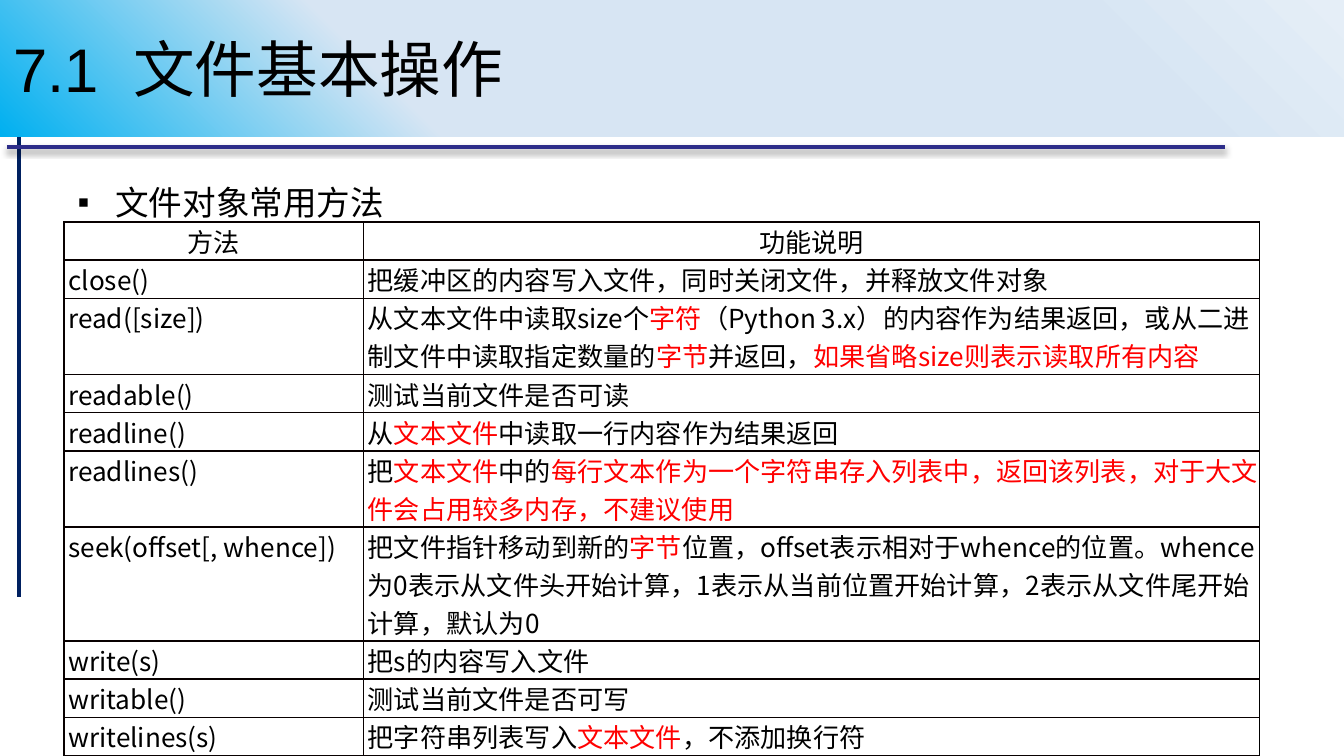
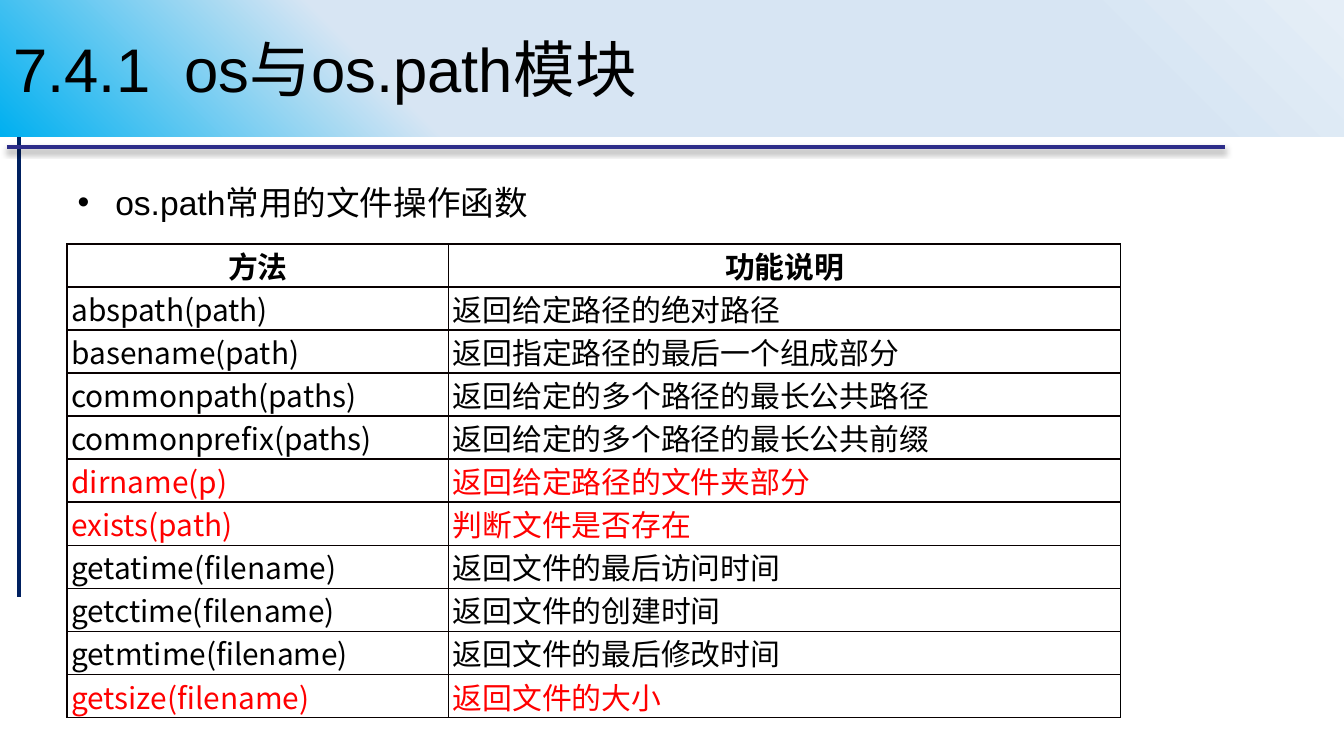
from dataclasses import dataclass

from pptx import Presentation
from pptx.dml.color import RGBColor
from pptx.enum.shapes import MSO_CONNECTOR
from pptx.enum.text import MSO_ANCHOR, MSO_AUTO_SIZE, PP_ALIGN
from pptx.oxml import parse_xml
from pptx.oxml.ns import nsdecls, qn
from pptx.util import Cm, Pt

STRAIGHT = MSO_CONNECTOR.STRAIGHT
MIDDLE = MSO_ANCHOR.MIDDLE
NO_AUTOFIT = MSO_AUTO_SIZE.NONE
LEFT, CENTER = PP_ALIGN.LEFT, PP_ALIGN.CENTER

# Shared look
TITLE_ONLY = 5
SLIDE_WIDTH, SLIDE_HEIGHT = Cm(25.4), Cm(14.29)
BAND_HEIGHT = Cm(2.58)
BLACK, RED, BORDER = "000000", "FF0000", "080000"
NAVY, INDIGO = "002060", "2D2D89"
BAND_STOPS = [(0, "00B0F0"), (30, "D7E5F3"), (81, "D7E5F3"), (100, "E5EEF7")]
LATIN, CJK = "Arial", "Noto Sans CJK SC"
MARK = "|"  # text between two marks is red


@dataclass(frozen=True)
class MethodTable:
    left: Cm
    top: Cm
    height: Cm
    columns: tuple
    line_counts: list
    size: int
    bold_header: bool
    rows: list


@dataclass(frozen=True)
class Page:
    title: str
    bullet: str
    topic: str
    methods: MethodTable


HEADER = ("方法", "功能说明")

FILE_METHODS = [
    ("close()", "把缓冲区的内容写入文件，同时关闭文件，并释放文件对象"),
    ("read([size])", "从文本文件中读取size个|字符|（Python 3.x）的内容作为结果返回，"
                     "或从二进制文件中读取指定数量的|字节|并返回，|如果省略size则表示读取所有内容|"),
    ("readable()", "测试当前文件是否可读"),
    ("readline()", "从|文本文件|中读取一行内容作为结果返回"),
    ("readlines()", "把|文本文件|中的|每行文本作为一个字符串存入列表中，返回该列表，"
                    "对于大文件会占用较多内存，不建议使用|"),
    ("seek(offset[, whence])", "把文件指针移动到新的|字节|位置，offset表示相对于whence的位置。"
                               "whence为0表示从文件头开始计算，1表示从当前位置开始计算，"
                               "2表示从文件尾开始计算，默认为0"),
    ("write(s)", "把s的内容写入文件"),
    ("writable()", "测试当前文件是否可写"),
    ("writelines(s)", "把字符串列表写入|文本文件|，不添加换行符"),
]

PATH_FUNCTIONS = [
    ("abspath(path)", "返回给定路径的绝对路径"),
    ("basename(path)", "返回指定路径的最后一个组成部分"),
    ("commonpath(paths)", "返回给定的多个路径的最长公共路径"),
    ("commonprefix(paths)", "返回给定的多个路径的最长公共前缀"),
    ("|dirname(p)|", "|返回给定路径的文件夹部分|"),
    ("|exists(path)|", "|判断文件是否存在|"),
    ("getatime(filename)", "返回文件的最后访问时间"),
    ("getctime(filename)", "返回文件的创建时间"),
    ("getmtime(filename)", "返回文件的最后修改时间"),
    ("|getsize(filename)|", "|返回文件的大小|"),
]

PAGES = [
    Page("7.1  文件基本操作", "▪", "文件对象常用方法", MethodTable(
        Cm(1.21), Cm(4.2), Cm(10.08), (Cm(5.66), Cm(16.94)),
        [1, 1, 2, 1, 1, 2, 3, 1, 1, 1],
        14, False, FILE_METHODS)),
    Page("7.4.1  os与os.path模块", "•", "os.path常用的文件操作函数", MethodTable(
        Cm(1.27), Cm(4.61), Cm(8.96), (Cm(7.21), Cm(12.7)),
        [1] * (len(PATH_FUNCTIONS) + 1),
        16, True, PATH_FUNCTIONS)),
]


def rgb(color: str) -> RGBColor:
    return RGBColor.from_string(color)


def drawing(markup: str):
    """Build a DrawingML element; the root tag receives the namespace."""
    tag_end = min(i for i in (markup.find(" "), markup.find(">"), markup.find("/>")) if i > 0)
    return parse_xml(f"{markup[:tag_end]} {nsdecls('a')}{markup[tag_end:]}")


def style_span(span, size: float, color: str = BLACK, font: str = LATIN,
               bold: bool = False) -> None:
    span.font.size = Pt(size)
    span.font.name = font
    span.font.bold = bold
    span.font.color.rgb = rgb(color)
    latin = span.font._element.find(qn("a:latin"))
    latin.addnext(drawing(f'<a:ea typeface="{CJK}"/>'))


def set_margins(target, left: Cm, top: Cm, right: Cm, bottom: Cm) -> None:
    target.margin_left, target.margin_right = left, right
    target.margin_top, target.margin_bottom = top, bottom


# Frame lines and title band
def add_rule(slide, start: tuple, end: tuple, color: str, shadow: str = "") -> None:
    rule = slide.shapes.add_connector(STRAIGHT, *start, *end)
    rule.line.color.rgb = rgb(color)
    rule.line.width = Pt(2.25)
    rule.element.spPr.append(drawing(f"<a:effectLst>{shadow}</a:effectLst>"))


def add_frame_rules(slide) -> None:
    shadow = ('<a:outerShdw blurRad="40000" dist="23000" dir="5400000" rotWithShape="0">'
              '<a:srgbClr val="000000"><a:alpha val="35000"/></a:srgbClr></a:outerShdw>')
    add_rule(slide, (Cm(0.36), Cm(2.06)), (Cm(0.36), Cm(11.29)), NAVY)
    add_rule(slide, (Cm(0.13), Cm(2.78)), (Cm(23.15), Cm(2.78)), INDIGO, shadow)


def set_title_band(slide, text: str) -> None:
    title = slide.shapes.title
    title.left, title.top = Cm(0), Cm(0)
    title.width, title.height = SLIDE_WIDTH, BAND_HEIGHT
    stops = "".join(f'<a:gs pos="{place * 1000}"><a:srgbClr val="{color}"/></a:gs>'
                    for place, color in BAND_STOPS)
    title.element.spPr.append(drawing(
        f'<a:gradFill rotWithShape="1"><a:gsLst>{stops}</a:gsLst><a:path path="circle">'
        '<a:fillToRect t="100000" r="100000"/></a:path></a:gradFill>'))
    frame = title.text_frame
    frame.text = text
    frame.word_wrap = True
    frame.auto_size = NO_AUTOFIT
    frame.vertical_anchor = MIDDLE
    para = frame.paragraphs[0]
    para.alignment = LEFT
    style_span(para.runs[0], 33)
    # The band covers the upper end of the vertical rule
    title.element.getparent().append(title.element)


# Bulleted topic
def add_topic(slide, text: str, bullet: str) -> None:
    box = slide.shapes.add_textbox(Cm(1.27), Cm(3.33), Cm(22.86), Cm(9.42))
    frame = box.text_frame
    frame.word_wrap = True
    set_margins(frame, Cm(0.2), Cm(0.1), Cm(0.2), Cm(0.1))
    frame.text = text
    para = frame.paragraphs[0]
    style_span(para.runs[0], 18)
    properties = para._p.get_or_add_pPr()
    properties.set("marL", str(Cm(0.71)))
    properties.set("indent", str(-Cm(0.71)))
    for markup in ('<a:spcBef><a:spcPct val="15000"/></a:spcBef>',
                   f'<a:buFont typeface="{LATIN}"/>',
                   f'<a:buChar char="{bullet}"/>'):
        properties.append(drawing(markup))


# Method table
def set_borders(cell, is_last_column: bool) -> None:
    properties = cell._tc.get_or_add_tcPr()
    for index, side in enumerate("LRTB"):
        outer = is_last_column and side == "R"
        width, color = (Pt(0.75), BLACK) if outer else (Pt(1), BORDER)
        properties.insert(index, drawing(
            f'<a:ln{side} w="{width}"><a:solidFill><a:srgbClr val="{color}"/>'
            f'</a:solidFill></a:ln{side}>'))


def fill_cell(cell, text: str, size: int, is_header: bool, bold: bool) -> None:
    cell.fill.background()
    set_margins(cell, Cm(0) if is_header else Cm(0.08), Cm(0), Cm(0), Cm(0))
    para = cell.text_frame.paragraphs[0]
    para.alignment = CENTER if is_header else LEFT
    for index, part in enumerate(text.split(MARK)):
        if part:
            span = para.add_run()
            span.text = part
            style_span(span, size, RED if index % 2 else BLACK, CJK, bold)


def add_method_table(slide, methods: MethodTable) -> None:
    rows = [HEADER] + methods.rows
    table = slide.shapes.add_table(len(rows), len(HEADER), methods.left, methods.top,
                                   sum(methods.columns), methods.height).table
    table.first_row = table.horz_banding = False
    for column, width in zip(table.columns, methods.columns):
        column.width = width
    line_height = methods.height // sum(methods.line_counts)
    for row, line_count in zip(table.rows, methods.line_counts):
        row.height = line_height * line_count
    for row_index, texts in enumerate(rows):
        is_header = row_index == 0
        for column_index, text in enumerate(texts):
            cell = table.cell(row_index, column_index)
            fill_cell(cell, text, methods.size, is_header,
                      is_header and methods.bold_header)
            set_borders(cell, column_index == len(texts) - 1)


def add_page(deck, page: Page) -> None:
    slide = deck.slides.add_slide(deck.slide_layouts[TITLE_ONLY])
    add_frame_rules(slide)
    set_title_band(slide, page.title)
    add_topic(slide, page.topic, page.bullet)
    add_method_table(slide, page.methods)


def main() -> None:
    deck = Presentation()
    deck.slide_width, deck.slide_height = SLIDE_WIDTH, SLIDE_HEIGHT
    for page in PAGES:
        add_page(deck, page)
    deck.save("out.pptx")


if __name__ == "__main__":
    main()
